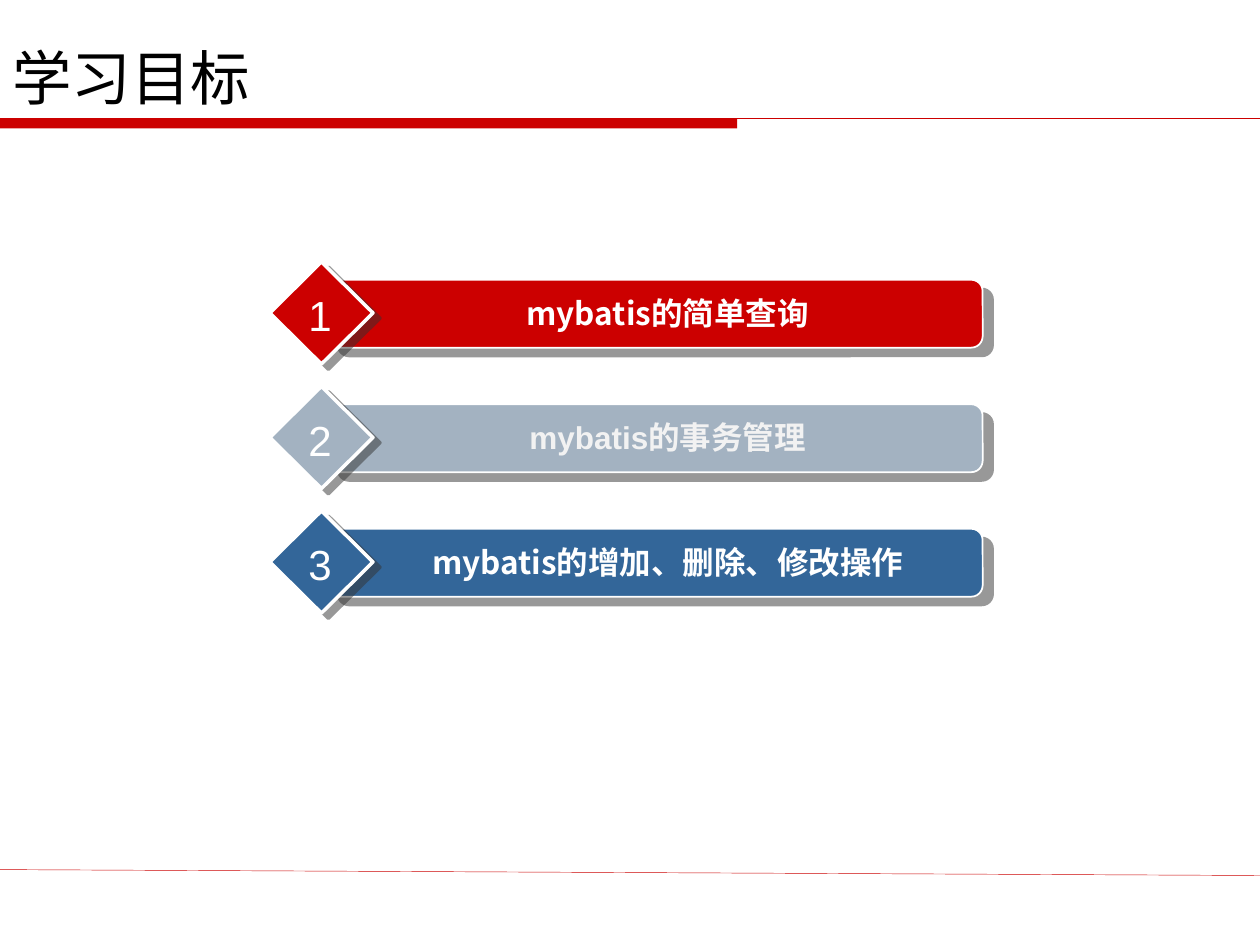
from dataclasses import dataclass

from lxml.etree import SubElement
from pptx import Presentation
from pptx.dml.color import RGBColor
from pptx.enum.shapes import MSO_CONNECTOR, MSO_SHAPE
from pptx.enum.text import MSO_ANCHOR, MSO_AUTO_SIZE, PP_ALIGN
from pptx.oxml.ns import qn
from pptx.util import Cm, Pt


@dataclass(frozen=True)
class Theme:
    red: str = "CC0000"
    grey: str = "A3B2C1"
    blue: str = "336699"
    white: str = "FFFFFF"
    pale: str = "F2F2F2"
    black: str = "000000"
    shade: str = "333333"
    head: int = 34
    label: int = 18
    digit: int = 24
    sans: str = "Arial"
    cjk: str = "Noto Sans CJK SC"
    title: str = "DejaVu Sans"


T = Theme()
WIDE, HIGH = 25.4, 19.05
STEP = 2.51  # distance from one row to the next


def color(code):
    return RGBColor.from_string(code)


def add_shadow(shape, dist, angle):
    """Hard, half-transparent shadow; angle in degrees."""
    shape.shadow.inherit = False
    effects = shape._element.spPr.find(qn("a:effectLst"))
    outer = SubElement(effects, qn("a:outerShdw"), blurRad="0",
                       dist=str(Pt(dist)), dir=str(angle * 60000),
                       algn="ctr", rotWithShape="0")
    tint = SubElement(outer, qn("a:srgbClr"), val=T.shade)
    SubElement(tint, qn("a:alpha"), val="50000")


def add_block(parent, kind, box, fill, edge=0):
    shape = parent.add_shape(kind, *map(Cm, box))
    shape.shadow.inherit = False
    shape.fill.solid()
    shape.fill.fore_color.rgb = color(fill)
    if edge:
        shape.line.color.rgb = color(T.white)
        shape.line.width = Pt(edge)
    else:
        shape.line.fill.background()
    return shape


def add_line(parent, start, end, width):
    line = parent.add_connector(MSO_CONNECTOR.STRAIGHT,
                                *map(Cm, (*start, *end)))
    line.line.color.rgb = color(T.red)
    line.line.width = Pt(width)
    SubElement(line._element.spPr, qn("a:effectLst"))


def add_text(parent, box, words, size, font, tone, bold=False, wrap=True):
    shape = parent.add_textbox(*map(Cm, box))
    frame = shape.text_frame
    frame.word_wrap = wrap
    frame.margin_left = frame.margin_right = Cm(0.18)
    frame.margin_top = frame.margin_bottom = Cm(0.1)
    para = frame.paragraphs[0]
    para.alignment = PP_ALIGN.CENTER
    run = para.add_run()
    run.text = words
    run.font.size = Pt(size)
    run.font.name = font
    run.font.bold = bold
    run.font.color.rgb = color(tone)
    SubElement(run._r.get_or_add_rPr(), qn("a:ea"), typeface=T.cjk)
    return frame


def add_title(parent, words):
    frame = add_text(parent, (0, 0, WIDE, 2.39), words, T.head, T.title,
                     T.black)
    frame.vertical_anchor = MSO_ANCHOR.BOTTOM
    frame.margin_left = frame.margin_right = Cm(0.25)
    frame.margin_top = frame.margin_bottom = Cm(0.13)
    frame.paragraphs[0].alignment = PP_ALIGN.LEFT


def add_row(slide, index, words, fill, font, tone, tall):
    group = slide.shapes.add_group_shape().shapes
    down = index * STEP
    bar = add_block(group, MSO_SHAPE.ROUNDED_RECTANGLE,
                    (6.6, 5.64 + down, 13.21, 1.37), fill, 1)
    add_shadow(bar, 7.8, 40)
    gem = add_block(group, MSO_SHAPE.DIAMOND,
                    (5.44, 5.28 + down, 2.08, 2.06), fill, 2)
    add_shadow(gem, 5, 37)
    label = add_text(group, (7.29, 5.82 + down, 12.34, tall), words,
                     T.label, font, tone, bold=True)
    digit = add_text(group, (6.02, 5.74 + down, 0.86, 1.22), str(index + 1),
                     T.digit, T.sans, T.white, wrap=False)
    for frame in (label, digit):
        frame.auto_size = MSO_AUTO_SIZE.SHAPE_TO_FIT_TEXT


def main():
    deck = Presentation()
    deck.slide_width, deck.slide_height = Cm(WIDE), Cm(HIGH)
    slide = deck.slides.add_slide(deck.slide_layouts[6])
    shapes = slide.shapes

    # Header band and footer rule
    add_block(shapes, MSO_SHAPE.RECTANGLE, (0, 2.39, 14.86, 0.2), T.red)
    add_line(shapes, (0, 2.39), (WIDE, 2.39), 0.75)
    add_line(shapes, (0, 17.53), (WIDE, 17.65), 0.25)
    add_title(shapes, "学习目标")

    # Numbered goals
    rows = [
        ("mybatis的简单查询", T.red, T.cjk, T.white, 0.97),
        ("mybatis的事务管理", T.grey, T.sans, T.pale, 1.73),
        ("mybatis的增加、删除、修改操作", T.blue, T.cjk, T.white, 1.73),
    ]
    for index, row in enumerate(rows):
        add_row(slide, index, *row)

    deck.save("out.pptx")


if __name__ == "__main__":
    main()
